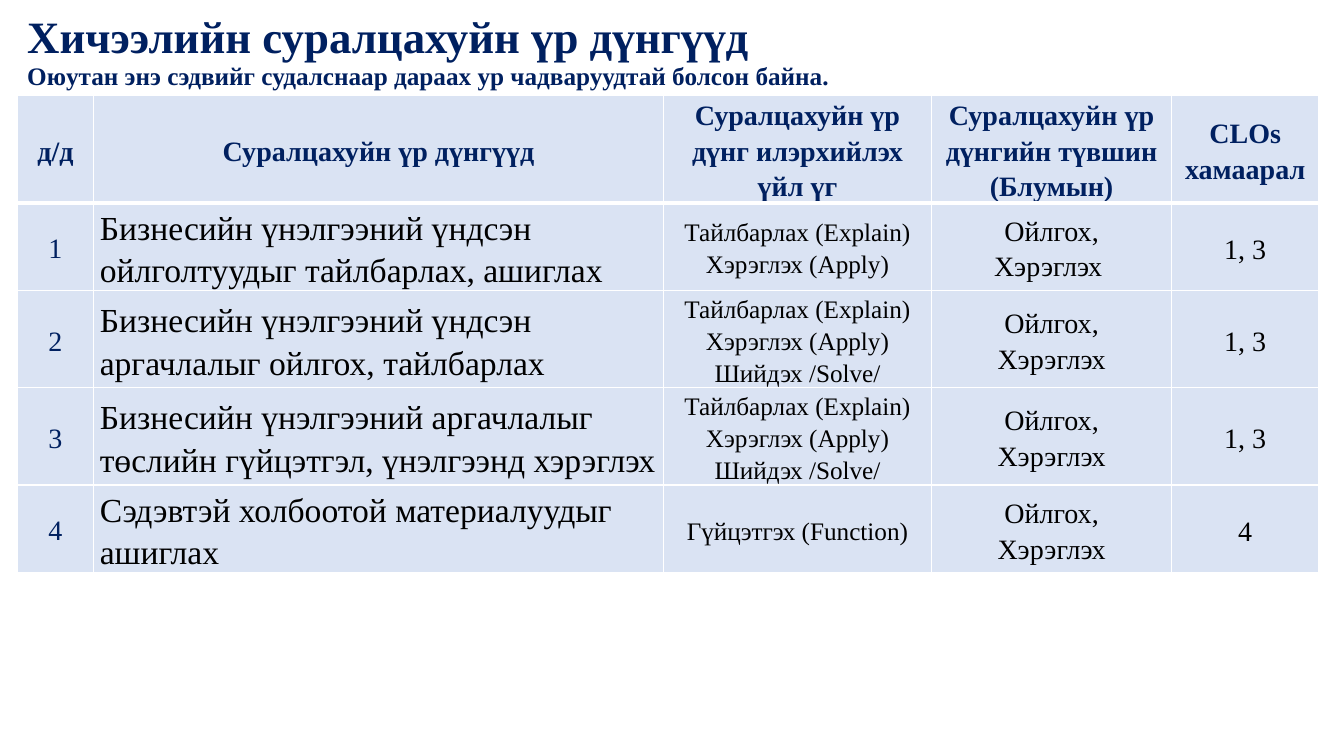
from dataclasses import dataclass

from lxml.etree import fromstring
from pptx import Presentation
from pptx.dml.color import RGBColor
from pptx.enum.text import MSO_ANCHOR, MSO_AUTO_SIZE, PP_ALIGN
from pptx.util import Inches, Pt


@dataclass(frozen=True)
class Theme:
    font: str = "Times New Roman"
    navy: str = "002060"
    black: str = "000000"
    pale: str = "DAE3F3"
    white: str = "FFFFFF"
    title: int = 32
    outcome: int = 24
    table: int = 20
    small: int = 18


theme = Theme()


def write(para, text, size=theme.table, color=theme.black, bold=False,
          align=PP_ALIGN.CENTER, spacing=1.15):
    para.alignment = align
    para.line_spacing = spacing
    span = para.add_run()
    span.text = text
    span.font.name = theme.font
    span.font.size = Pt(size)
    span.font.bold = bold
    span.font.color.rgb = RGBColor.from_string(color)


def add_border(cell, side, width):
    properties = cell._tc.get_or_add_tcPr()
    properties.append(fromstring(
        f'<a:{side} xmlns:a="http://schemas.openxmlformats.org/drawingml/2006/main" '
        f'w="{Pt(width)}"><a:solidFill><a:srgbClr val="{theme.white}"/></a:solidFill></a:{side}>'
    ))


deck = Presentation()
deck.slide_width = Inches(13.33)
deck.slide_height = Inches(7.5)
page = deck.slides.add_slide(deck.slide_layouts[5])

title = page.shapes.title
title.left, title.top = Inches(0.17), Inches(0.11)
title.width, title.height = Inches(13.03), Inches(0.83)
title.text_frame.word_wrap = True
title.text_frame.auto_size = MSO_AUTO_SIZE.NONE
title.text_frame.vertical_anchor = MSO_ANCHOR.MIDDLE
heading = title.text_frame.paragraphs[0]
heading_format = dict(color=theme.navy, bold=True, align=PP_ALIGN.LEFT, spacing=0.9)
write(heading, "Хичээлийн суралцахуйн үр дүнгүүд", size=theme.title, **heading_format)
heading.add_line_break()
write(heading, "Оюутан энэ сэдвийг судалснаар дараах ур чадваруудтай болсон байна.",
      size=theme.small, **heading_format)

explain, apply, solve = "Тайлбарлах (Explain)", "Хэрэглэх (Apply)", "Шийдэх /Solve/"
level = "Ойлгох,\nХэрэглэх"
rows = [
    ["д/д", "Суралцахуйн үр дүнгүүд", "Суралцахуйн үр дүнг илэрхийлэх үйл үг",
     "Суралцахуйн үр дүнгийн түвшин\n(Блумын)", "CLOs хамаарал"],
    ["1", "Бизнесийн үнэлгээний үндсэн ойлголтуудыг тайлбарлах, ашиглах",
     f"{explain}\n{apply}", f"{level} ", "1, 3"],
    ["2", "Бизнесийн үнэлгээний үндсэн аргачлалыг ойлгох, тайлбарлах",
     f"{explain}\n{apply}\n{solve}", level, "1, 3"],
    ["3", "Бизнесийн үнэлгээний аргачлалыг төслийн гүйцэтгэл, үнэлгээнд хэрэглэх",
     f"{explain}\n{apply}\n{solve}", level, "1, 3"],
    ["4", "Сэдэвтэй холбоотой материалуудыг ашиглах",
     "Гүйцэтгэх (Function)", level, "4"],
]
column_widths = [0.76, 5.65, 2.66, 2.38, 1.46]
row_heights = [1.05, 0.87, 0.75, 0.89, 0.87]
column_formats = [
    dict(color=theme.navy),
    dict(size=theme.outcome, align=PP_ALIGN.LEFT),
    dict(size=theme.small),
    {},
    {},
]

outcomes = page.shapes.add_table(
    len(rows), len(column_widths), Inches(0.17), Inches(0.95),
    Inches(sum(column_widths)), Inches(sum(row_heights))).table
for column, width in zip(outcomes.columns, column_widths):
    column.width = Inches(width)
for row, height in zip(outcomes.rows, row_heights):
    row.height = Inches(height)

for row_number, texts in enumerate(rows):
    for column_number, text in enumerate(texts):
        cell = outcomes.cell(row_number, column_number)
        is_header = row_number == 0
        is_label = is_header or column_number == 0
        cell.margin_left = cell.margin_right = Inches(0.08 if is_label else 0.06)
        cell.margin_top = Inches(0 if is_label else 0.01)
        cell.margin_bottom = 0
        if not (is_header and column_number == 3):
            cell.vertical_anchor = MSO_ANCHOR.MIDDLE

        add_border(cell, "lnL", 1)
        add_border(cell, "lnR", 1)
        add_border(cell, "lnT", 3 if row_number == 1 else 1)
        add_border(cell, "lnB", 3 if is_header else 1)
        cell.fill.solid()
        cell.fill.fore_color.rgb = RGBColor.from_string(theme.pale)

        text_format = dict(color=theme.navy, bold=True) if is_header else column_formats[column_number]
        for line_number, line in enumerate(text.split("\n")):
            frame = cell.text_frame
            para = frame.add_paragraph() if line_number else frame.paragraphs[0]
            write(para, line, **text_format)

deck.save("out.pptx")
